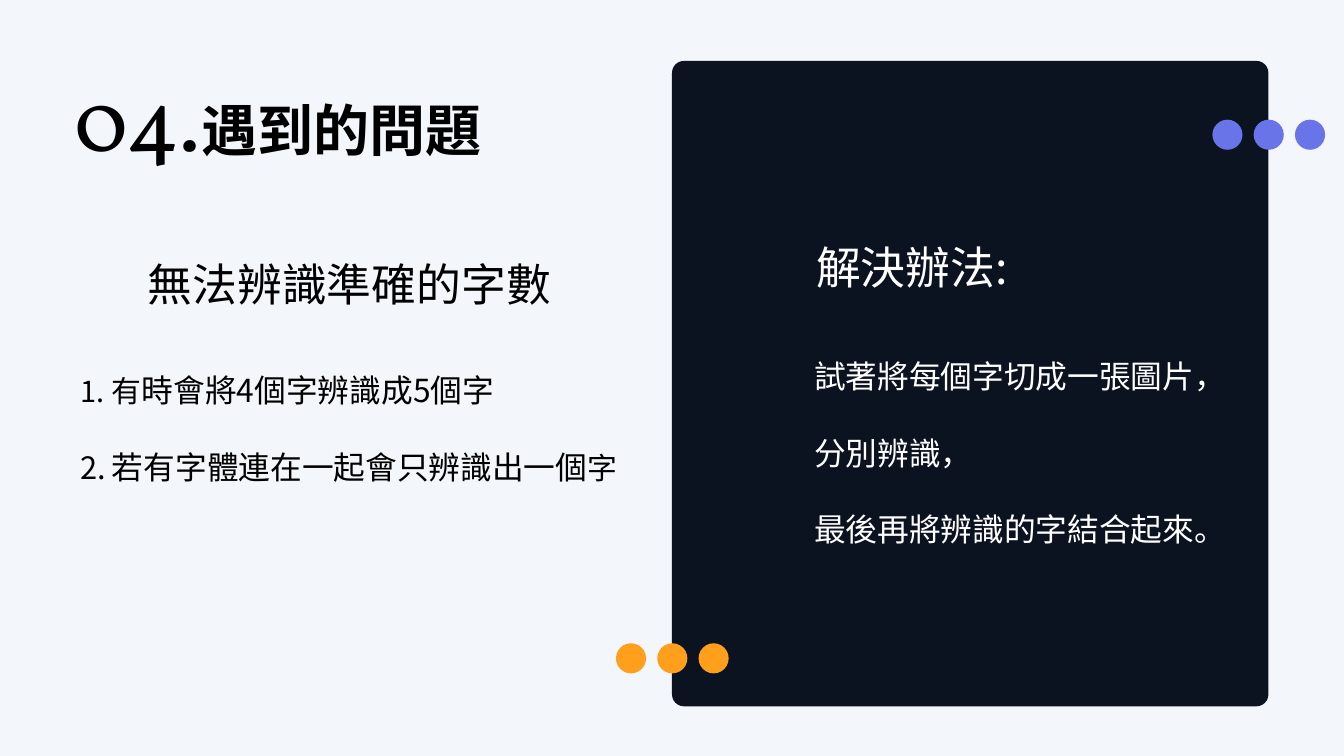
from dataclasses import dataclass

from lxml import etree
from pptx import Presentation
from pptx.dml.color import RGBColor
from pptx.enum.shapes import MSO_SHAPE
from pptx.enum.text import MSO_AUTO_SIZE
from pptx.oxml.ns import qn
from pptx.util import Emu, Pt

ROUNDED = MSO_SHAPE.ROUNDED_RECTANGLE
OVAL = MSO_SHAPE.OVAL
GROW = MSO_AUTO_SIZE.SHAPE_TO_FIT_TEXT
EMU_PER_PX = 9525


@dataclass(frozen=True)
class Theme:
    background: str = "F3F6FA"
    panel: str = "0B1320"
    violet: str = "6874E8"
    orange: str = "FF9F1C"
    dark: str = "000000"
    light: str = "FFFFFF"
    font: str = "Noto Sans CJK SC"
    number_font: str = "Vollkorn"
    number: int = 96
    title: int = 60
    heading: int = 48
    body: int = 34
    body_small: int = 32


THEME = Theme()


def px(n):
    return Emu(n * EMU_PER_PX)


def rgb(value):
    return RGBColor.from_string(value)


def add_block(slide, shape, box, color):
    sp = slide.shapes.add_shape(shape, *map(px, box))
    sp.shadow.inherit = False
    sp.fill.solid()
    sp.fill.fore_color.rgb = rgb(color)
    sp.line.fill.background()
    return sp


def add_text_box(slide, box, inset=0):
    tf = slide.shapes.add_textbox(*map(px, box)).text_frame
    tf.word_wrap = True
    tf.auto_size = GROW
    tf.margin_left = tf.margin_right = px(inset)
    tf.margin_top = tf.margin_bottom = px(inset // 2)
    return tf


def add_run(p, text, size, color, font=THEME.font, bold=None):
    r = p.add_run()
    r.text = text
    r.font.size = Pt(size)
    r.font.bold = bold
    r.font.color.rgb = rgb(color)
    r.font.name = font
    etree.SubElement(r._r.get_or_add_rPr(), qn("a:ea"), typeface=font)


def add_paragraphs(tf, paragraphs, color, spacing):
    """Fill the frame from lists of (text, size) runs."""
    for i, runs in enumerate(paragraphs):
        p = tf.add_paragraph() if i else tf.paragraphs[0]
        p.line_spacing = spacing
        for text, size in runs:
            add_run(p, text, size, color)


def number_paragraph(p, color):
    pPr = p._p.get_or_add_pPr()
    pPr.set("marL", str(px(80)))
    pPr.set("indent", str(-px(45)))
    clr = etree.SubElement(pPr, qn("a:buClr"))
    etree.SubElement(clr, qn("a:srgbClr"), val=color)
    etree.SubElement(pPr, qn("a:buSzPct"), val="97000")
    etree.SubElement(pPr, qn("a:buFont"), typeface=THEME.font)
    etree.SubElement(pPr, qn("a:buAutoNum"), type="arabicPeriod")


def add_dots(slide, cx, cy, color, size=43, pitch=59):
    """Place three dots in a row centred on (cx, cy)."""
    for step in (-1, 0, 1):
        box = (cx + step * pitch - size // 2, cy - size // 2, size, size)
        add_block(slide, OVAL, box, color)


def add_problem(slide, box):
    x, y, w, h = box
    tf = add_text_box(slide, (x + 107, y + 27, 686, 217))
    p = tf.paragraphs[0]
    p.line_spacing = 1.4
    add_run(p, "04.", THEME.number, THEME.dark, THEME.number_font)
    add_run(p, "遇到的問題", THEME.title, THEME.dark, bold=True)

    tf = add_text_box(slide, (x + 211, y + 328, 582, 175))
    add_paragraphs(tf, [[("無法辨識準確的字數", THEME.heading)]], THEME.dark, 1.5)

    tf = add_text_box(slide, (x + 70, y + 471, w, 212), inset=10)
    items = [
        [("有", THEME.body_small), ("時會將4個字辨識成5個字", THEME.body)],
        [("若有字體連在一起會只辨識出一個", THEME.body), ("字", THEME.body_small)],
    ]
    add_paragraphs(tf, items, THEME.dark, 2.0)
    for p in tf.paragraphs:
        number_paragraph(p, THEME.dark)


def add_solution(slide, box):
    x, y, w, h = box
    panel = add_block(slide, ROUNDED, box, THEME.panel)
    panel.adjustments[0] = 0.02
    add_dots(slide, x + w, y + 105, THEME.violet)
    add_dots(slide, x, y + h - 69, THEME.orange)

    tf = add_text_box(slide, (x + 206, y + 256, 727, 194))
    add_paragraphs(tf, [[("解決辦法:", THEME.heading)]], THEME.light, 1.0)

    tf = add_text_box(slide, (x + 193, y + 364, 593, 323), inset=10)
    lines = ["試著將每個字切成一張圖片，分別辨識，", "最後再將辨識的字結合起來。"]
    add_paragraphs(tf, [[(line, THEME.body)] for line in lines], THEME.light, 2.0)


def main():
    prs = Presentation()
    prs.slide_width, prs.slide_height = px(1920), px(1080)
    slide = prs.slides.add_slide(prs.slide_layouts[6])
    slide.background.fill.solid()
    slide.background.fill.fore_color.rgb = rgb(THEME.background)
    add_solution(slide, (960, 87, 852, 922))
    add_problem(slide, (0, 0, 960, 1080))
    prs.save("out.pptx")


if __name__ == "__main__":
    main()
